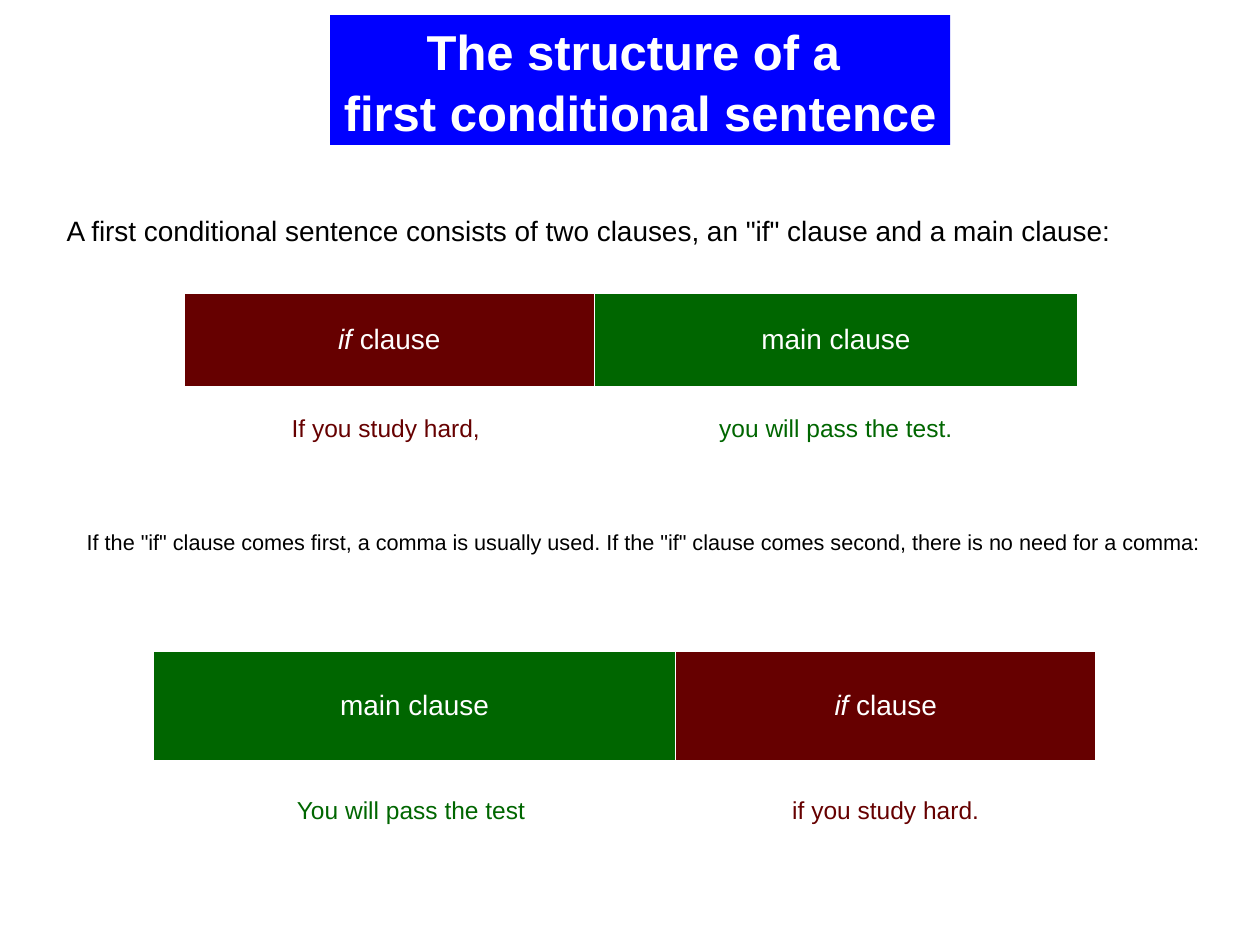
from pptx import Presentation
from pptx.dml.color import RGBColor
from pptx.enum import shapes, text
from pptx.util import Inches, Pt

RED, GREEN, BLUE, WHITE, BLACK = "660000", "006600", "0000FF", "FFFFFF", "000000"

# Content
TITLE = "The structure of a \vfirst conditional sentence"
NOTES = [  # text, left, top, size, line spacing
    ('A first conditional sentence consists of two clauses, an "if" clause and a main clause:',
     0.43, 1.7, 16, 0.8),
    ('If the "if" clause comes first, a comma is usually used. '
     'If the "if" clause comes second, there is no need for a comma:',
     0.59, 4.22, 12.4, 0.6),
]
IF_CLAUSE = [("if", True), (" clause", False)]
MAIN_CLAUSE = [("main clause", False)]
PATTERNS = [  # each column: heading runs, example, colour, width
    {"left": 1.46, "top": 2.33, "rows": (0.74, 0.67), "columns": [
        (IF_CLAUSE, "If you study hard, ", RED, 3.26),
        (MAIN_CLAUSE, "you will pass the test.", GREEN, 3.83)]},
    {"left": 1.22, "top": 5.17, "rows": (0.87, 0.79), "columns": [
        (MAIN_CLAUSE, "You will pass the test ", GREEN, 4.14),
        (IF_CLAUSE, "if you study hard.", RED, 3.34)]},
]


def paint(fill, colour):
    fill.solid()
    fill.fore_color.rgb = RGBColor.from_string(colour)


def write(frame, content, size, colour, bold=False, align=text.PP_ALIGN.CENTER, spacing=None):
    """Fill the first paragraph with a string or a list of (string, italic) runs."""
    paragraph = frame.paragraphs[0]
    paragraph.alignment = align
    paragraph.line_spacing = spacing
    runs = [(content, False)] if isinstance(content, str) else content
    for words, italic in runs:
        for index, line in enumerate(words.split("\v")):
            if index:
                paragraph.add_line_break()
            run = paragraph.add_run()
            run.text = line
            run.font.name = "Arial"
            run.font.size = Pt(size)
            run.font.bold = bold
            run.font.italic = italic
            run.font.color.rgb = RGBColor.from_string(colour)


presentation = Presentation()
presentation.slide_width, presentation.slide_height = Inches(10), Inches(7.5)
slide = presentation.slides.add_slide(presentation.slide_layouts[6])

# Title banner
banner = slide.shapes.add_shape(shapes.MSO_SHAPE.RECTANGLE,
                                Inches(2.62), Inches(0.12), Inches(4.92), Inches(1.03))
banner.shadow.inherit = False
banner.line.fill.background()
paint(banner.fill, BLUE)
banner.text_frame.word_wrap = True
banner.text_frame.vertical_anchor = text.MSO_ANCHOR.MIDDLE
write(banner.text_frame, TITLE, 28, WHITE, bold=True, spacing=1.05)

# Explanations
for words, left, top, size, spacing in NOTES:
    box = slide.shapes.add_textbox(Inches(left), Inches(top), Inches(9.14), Inches(0.39))
    box.text_frame.word_wrap = True
    write(box.text_frame, words, size, BLACK, align=text.PP_ALIGN.LEFT, spacing=spacing)

# Clause tables: coloured headings above their examples
for pattern in PATTERNS:
    columns, rows = pattern["columns"], pattern["rows"]
    width = sum(column[-1] for column in columns)
    table = slide.shapes.add_table(len(rows), len(columns), Inches(pattern["left"]),
                                   Inches(pattern["top"]), Inches(width),
                                   Inches(sum(rows))).table
    table.first_row = table.horz_banding = False
    for row, height in zip(table.rows, rows):
        row.height = Inches(height)
    for index, (heading, example, colour, column_width) in enumerate(columns):
        table.columns[index].width = Inches(column_width)
        cells = [(heading, 16, WHITE, colour), (example, 14, colour, WHITE)]
        for row_index, (content, size, font_colour, fill_colour) in enumerate(cells):
            cell = table.cell(row_index, index)
            cell.vertical_anchor = text.MSO_ANCHOR.MIDDLE
            paint(cell.fill, fill_colour)
            write(cell.text_frame, content, size, font_colour)

presentation.save("out.pptx")
